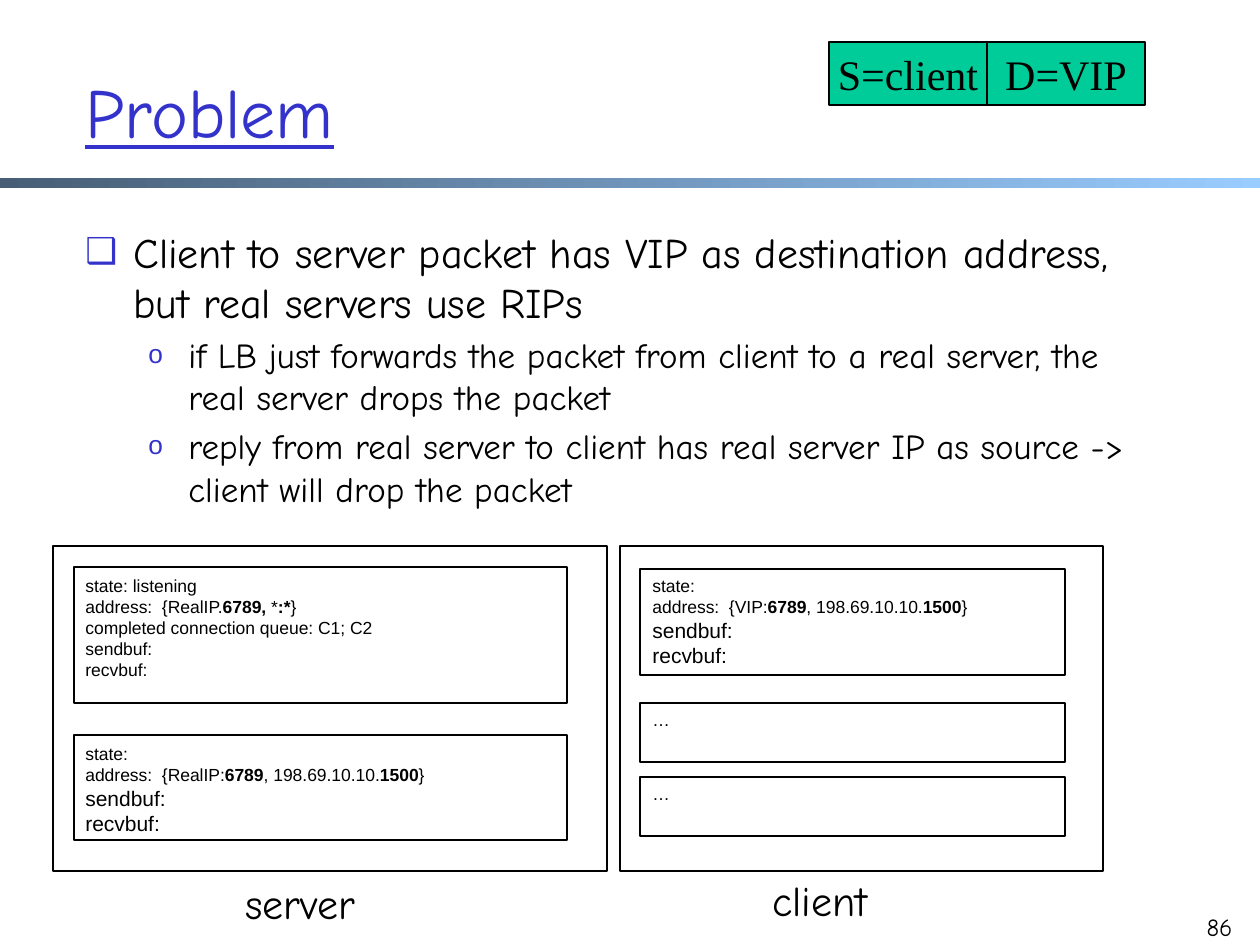
from pptx import Presentation
from pptx import util as u
from pptx.dml.color import RGBColor
from pptx.enum import shapes, text
from pptx.oxml import parse_xml
from pptx.oxml.ns import nsdecls

COLORS = {"ink": "000000", "blue": "3333CC", "packet": "00CC99",
          "band_dark": "475E76", "band_light": "99CCFF"}
PX = 914400 / 126
HAND, SANS, SERIF = "Comic Neue", "Arial", "Times New Roman"


def emu(px):
    return u.Emu(round(px * PX))


def rgb(name):
    return RGBColor.from_string(COLORS[name])


class SlideBuilder:
    def __init__(self, slide):
        self.slide = slide

    def style(self, paragraph, size, font, color="ink"):
        for run in paragraph.runs:
            run.font.size = u.Pt(size)
            run.font.name = font
            run.font.color.rgb = rgb(color)

    def rect(self, x, y, w, h, fill=None, line=True):
        box = self.slide.shapes.add_shape(
            shapes.MSO_SHAPE.RECTANGLE, emu(x), emu(y), emu(w), emu(h))
        box.shadow.inherit = False
        if fill:
            box.fill.solid()
            box.fill.fore_color.rgb = rgb(fill)
        else:
            box.fill.background()
        if line:
            box.line.color.rgb = rgb("ink")
            box.line.width = u.Pt(0.75)
        else:
            box.line.fill.background()
        return box

    def band(self, x, y, w, h):
        fill = self.rect(x, y, w, h, line=False).fill
        fill.gradient()
        fill.gradient_angle = 0
        for stop, color in zip(fill.gradient_stops, ("band_dark", "band_light")):
            stop.color.rgb = rgb(color)

    def label(self, x, y, w, h, words, size=24, color="ink", wrap=False,
              align=text.PP_ALIGN.LEFT):
        box = self.slide.shapes.add_textbox(emu(x), emu(y), emu(w), emu(h))
        frame = box.text_frame
        frame.text = words
        frame.word_wrap = wrap
        frame.paragraphs[0].alignment = align
        self.style(frame.paragraphs[0], size, HAND, color)
        return frame

    def packet_field(self, x, y, w, h, words):
        frame = self.rect(x, y, w, h, fill="packet").text_frame
        frame.text = words
        frame.word_wrap = False
        frame.vertical_anchor = text.MSO_ANCHOR.MIDDLE
        frame.paragraphs[0].alignment = text.PP_ALIGN.CENTER
        self.style(frame.paragraphs[0], 24, SERIF)

    def bullets(self, x, y, w, h, items):
        frame = self.label(x, y, w, h, "", wrap=True)
        levels = [("❑", 85, 24, 48, -48), ("o", 75, 20, 103, -40)]
        for i, (level, words) in enumerate(items):
            mark, percent, size, margin, indent = levels[level]
            p = frame.paragraphs[0] if i == 0 else frame.add_paragraph()
            p.text = words
            p.level = level
            props = p._p.get_or_add_pPr()
            props.set("marL", str(emu(margin)))
            props.set("indent", str(emu(indent)))
            for xml in (f'<a:buClr {nsdecls("a")}><a:srgbClr val="{COLORS["blue"]}"/></a:buClr>',
                        f'<a:buSzPct {nsdecls("a")} val="{percent * 1000}"/>',
                        f'<a:buFont {nsdecls("a")} typeface="{SANS}"/>',
                        f'<a:buChar {nsdecls("a")} char="{mark}"/>'):
                props.append(parse_xml(xml))
            if i:
                p.space_before = u.Pt(size * 0.2)
            self.style(p, size, HAND)

    def socket(self, frame, lines, wrap=True):
        """Fill a frame with (size, words) lines.

        Bold parts stand between bars, and a newline breaks the line.
        """
        frame.word_wrap = wrap
        frame.vertical_anchor = text.MSO_ANCHOR.TOP
        for i, (size, words) in enumerate(lines):
            p = frame.paragraphs[0] if i == 0 else frame.add_paragraph()
            p.alignment = text.PP_ALIGN.LEFT
            for part, piece in enumerate(words.split("|")):
                for row, row_words in enumerate(piece.split("\n")):
                    if row:
                        p.add_line_break()
                    run = p.add_run()
                    run.text = row_words
                    run.font.bold = part % 2 == 1
            self.style(p, size, SANS)

    def server_socket(self, x, y, w, h, text_w, text_h, lines):
        self.rect(x, y, w, h)
        box = self.slide.shapes.add_textbox(
            emu(x - 1), emu(y + 2), emu(text_w), emu(text_h))
        self.socket(box.text_frame, lines, wrap=False)

    def client_socket(self, x, y, w, h, lines):
        self.socket(self.rect(x, y, w, h).text_frame, lines)


def connected(host):
    return [(10, "state:"),
            (10, f"address:  {{{host}:|6789|, 198.69.10.10.|1500|}}"),
            (12, "sendbuf:"), (12, "recvbuf:")]


def main():
    prs = Presentation()
    prs.slide_width, prs.slide_height = emu(1260), emu(945)
    page = SlideBuilder(prs.slides.add_slide(prs.slide_layouts[6]))

    # Heading
    page.band(0, 178, 1260, 10)
    title = page.label(73, 32, 1071, 157, "Problem", 40, "blue", wrap=True)
    title.vertical_anchor = text.MSO_ANCHOR.MIDDLE
    title.paragraphs[0].runs[0].font.underline = True

    # Explanation
    page.bullets(73, 220, 1071, 640, [
        (0, "Client to server packet has VIP as destination address, "
            "but real servers use RIPs"),
        (1, "if LB just forwards the packet from client to a real server, "
            "the real server drops the packet"),
        (1, "reply from real server to client has real server IP as source "
            "-> client will drop the packet")])

    # Packet header
    for i, words in enumerate(("S=client", "D=VIP")):
        page.packet_field(829 + i * 158, 42, 158, 63, words)

    # Server sockets
    page.rect(53, 546, 554, 325)
    page.server_socket(74, 567, 493, 136, 319, 118, [
        (10, "state: listening"),
        (10, "address:  {RealIP.|6789, |*|:*|}"),
        (10, "completed connection queue: C1; C2\nsendbuf:"),
        (10, "recvbuf:")])
    page.server_socket(74, 735, 493, 105, 367, 106, connected("RealIP"))
    page.label(233, 871, 154, 63, "server")

    # Client sockets
    page.rect(620, 546, 483, 325)
    page.client_socket(640, 569, 425, 106, connected("VIP"))
    for y in (703, 777):
        page.client_socket(640, y, 425, 59, [(10, "…")])
    page.label(760, 868, 149, 63, "client")

    # Page number
    page.label(1182, 906, 63, 63, "86", 14, wrap=True, align=text.PP_ALIGN.RIGHT)

    prs.save("out.pptx")


if __name__ == "__main__":
    main()
